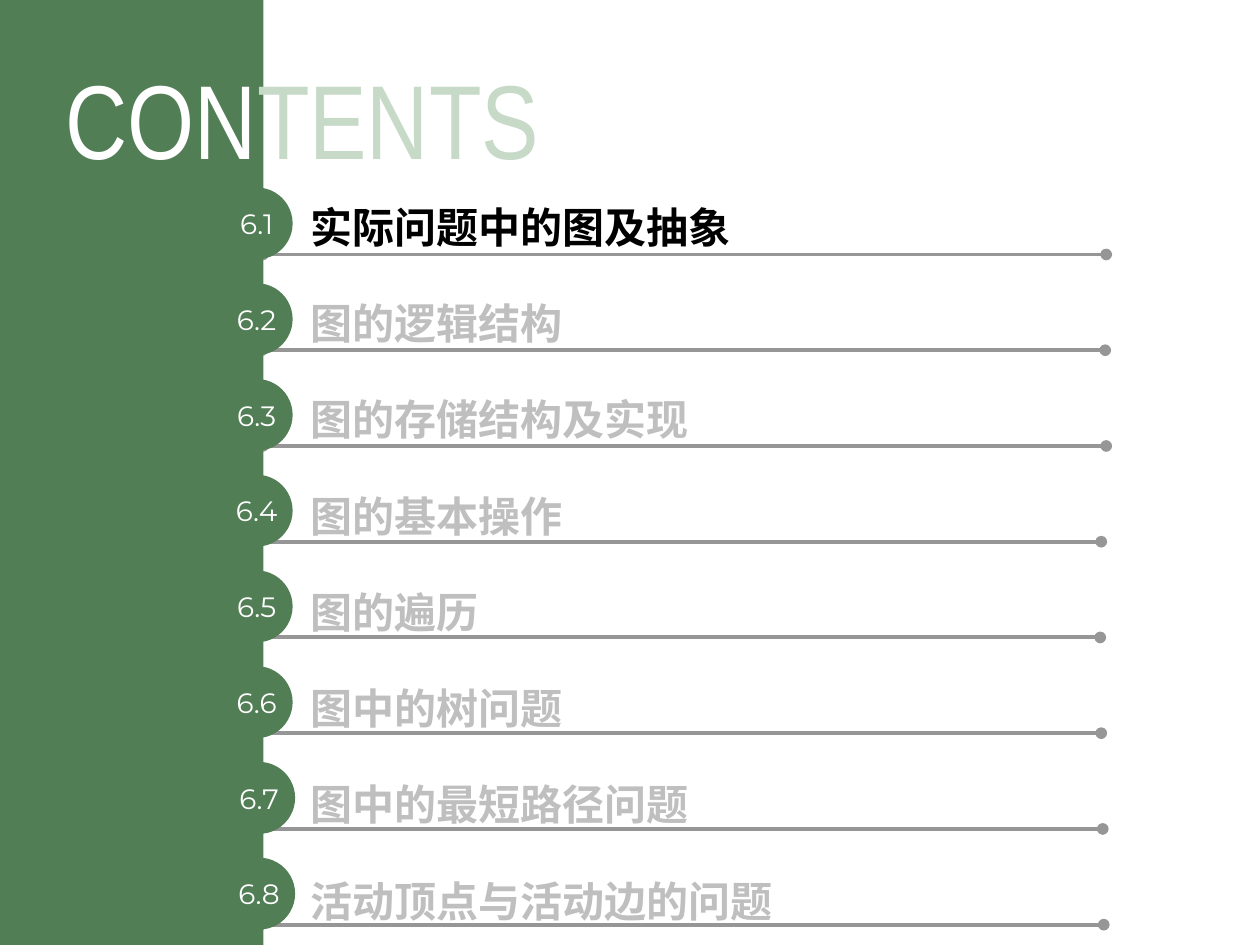
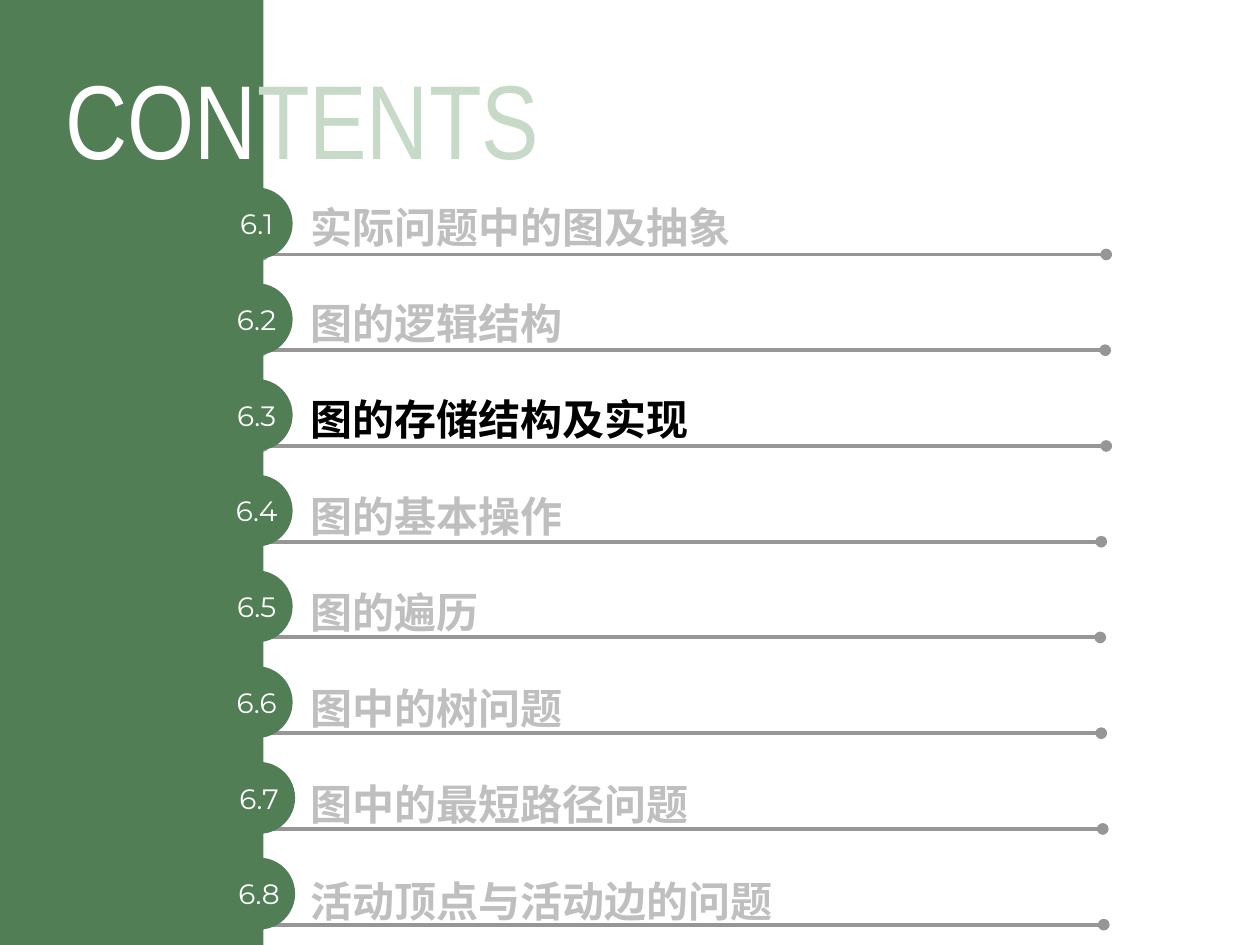
from dataclasses import dataclass

from lxml.etree import SubElement
from pptx import Presentation
from pptx.dml.color import RGBColor
from pptx.enum.shapes import MSO_CONNECTOR, MSO_SHAPE
from pptx.enum.text import MSO_ANCHOR, PP_ALIGN
from pptx.oxml.ns import qn
from pptx.util import Cm, Pt

# Shared style
GREEN, PALE_GREEN, WHITE = "527E56", "C7DAC8", "FFFFFF"
ACTIVE, INACTIVE, RULE = "000000", "BFBFBF", "969696"
TITLE_FONT, NUMBER_FONT, TOPIC_FONT = "Arial Narrow", "Montserrat", "Noto Sans CJK SC"

# Layout in centimetres
SLIDE_WIDTH, SLIDE_HEIGHT = 25.4, 19.05
BAND_WIDTH = 5.31
BADGE_TOP, BADGE_SIZE = 3.78, 1.45
TOPIC_LEFT, TOPIC_TOP, TOPIC_HEIGHT = 6.02, 4.06, 1.02
RULE_TOP, RULE_LENGTH = 5.13, 17
ROW_PITCH, TOPIC_PITCH = 1.93, 1.94


@dataclass
class Section:
    number: str
    topic: str
    topic_width: float
    rule_left: float
    badge_left: float = 4.45


SECTIONS = [
    Section("6.1", "实际问题中的图及抽象", 9.04, 5.3),
    Section("6.2", "图的逻辑结构", 6.48, 5.28),
    Section("6.3", "图的存储结构及实现", 8.23, 5.3),
    Section("6.4", "图的基本操作", 7.47, 5.2),
    Section("6.5", "图的遍历", 10.44, 5.18),
    Section("6.6", "图中的树问题", 10.95, 5.2),
    Section("6.7", "图中的最短路径问题", 10.44, 5.23, 4.5),
    Section("6.8", "活动顶点与活动边的问题", 10.95, 5.25, 4.5),
]


def color(value):
    return RGBColor.from_string(value)


def write(shape, *pieces, font, size, bold=False, align=PP_ALIGN.LEFT, inset=None):
    """Fill a shape with one paragraph of (text, colour) pieces."""
    frame = shape.text_frame
    frame.word_wrap = True
    frame.vertical_anchor = MSO_ANCHOR.MIDDLE
    if inset is not None:
        frame.margin_left = frame.margin_right = Cm(inset)
        frame.margin_top = frame.margin_bottom = Cm(inset)
    paragraph = frame.paragraphs[0]
    paragraph.alignment = align
    for text, hex_color in pieces:
        run = paragraph.add_run()
        run.text = text
        run.font.name = font
        run.font.size = Pt(size)
        run.font.bold = bold
        run.font.color.rgb = color(hex_color)
        SubElement(run.font._element, qn("a:ea"), typeface=font)


class ContentsDeck:
    def __init__(self):
        self.presentation = Presentation()
        self.presentation.slide_width = Cm(SLIDE_WIDTH)
        self.presentation.slide_height = Cm(SLIDE_HEIGHT)
        self.slide = None

    def add_slide(self):
        self.slide = self.presentation.slides.add_slide(self.presentation.slide_layouts[6])

    def shape(self, kind, left, top, width, height):
        shape = self.slide.shapes.add_shape(kind, Cm(left), Cm(top), Cm(width), Cm(height))
        shape.shadow.inherit = False
        shape.fill.solid()
        shape.fill.fore_color.rgb = color(GREEN)
        shape.line.fill.background()
        return shape

    def text(self, left, top, width, height, *pieces, **text_format):
        box = self.slide.shapes.add_textbox(Cm(left), Cm(top), Cm(width), Cm(height))
        write(box, *pieces, **text_format)

    def rule(self, left, top):
        connector = self.slide.shapes.add_connector(
            MSO_CONNECTOR.STRAIGHT, Cm(left), Cm(top), Cm(left + RULE_LENGTH), Cm(top))
        connector.line.color.rgb = color(RULE)
        connector.line.width = Pt(2.25)
        properties = connector._element.spPr
        line = properties.find(qn("a:ln"))
        for end in ("a:headEnd", "a:tailEnd"):
            SubElement(line, qn(end), type="oval")
        SubElement(properties, qn("a:effectLst"))

    def badge(self, number, left, top):
        circle = self.shape(MSO_SHAPE.OVAL, left, top, BADGE_SIZE, BADGE_SIZE)
        write(circle, (number, WHITE), font=NUMBER_FONT, size=16,
              align=PP_ALIGN.CENTER, inset=0)

    def contents(self, active_number):
        self.add_slide()

        # Rules and topics
        for row, section in enumerate(SECTIONS):
            self.rule(section.rule_left, RULE_TOP + row * ROW_PITCH)
            topic_color = ACTIVE if section.number == active_number else INACTIVE
            self.text(TOPIC_LEFT, TOPIC_TOP + row * TOPIC_PITCH, section.topic_width,
                      TOPIC_HEIGHT, (section.topic, topic_color),
                      font=TOPIC_FONT, size=24, bold=True)

        # Side band and title
        self.shape(MSO_SHAPE.RECTANGLE, 0, 0, BAND_WIDTH, SLIDE_HEIGHT)
        self.text(-0.1, 0.89, 12.4, 2.95, ("CON", WHITE), ("TENTS", PALE_GREEN),
                  font=TITLE_FONT, size=60, align=PP_ALIGN.CENTER)

        # Number badges over the band's edge
        for row, section in enumerate(SECTIONS):
            self.badge(section.number, section.badge_left, BADGE_TOP + row * ROW_PITCH)


def main():
    deck = ContentsDeck()
    for active_number in ("6.1", "6.3"):
        deck.contents(active_number)
    deck.presentation.save("out.pptx")


if __name__ == "__main__":
    main()
